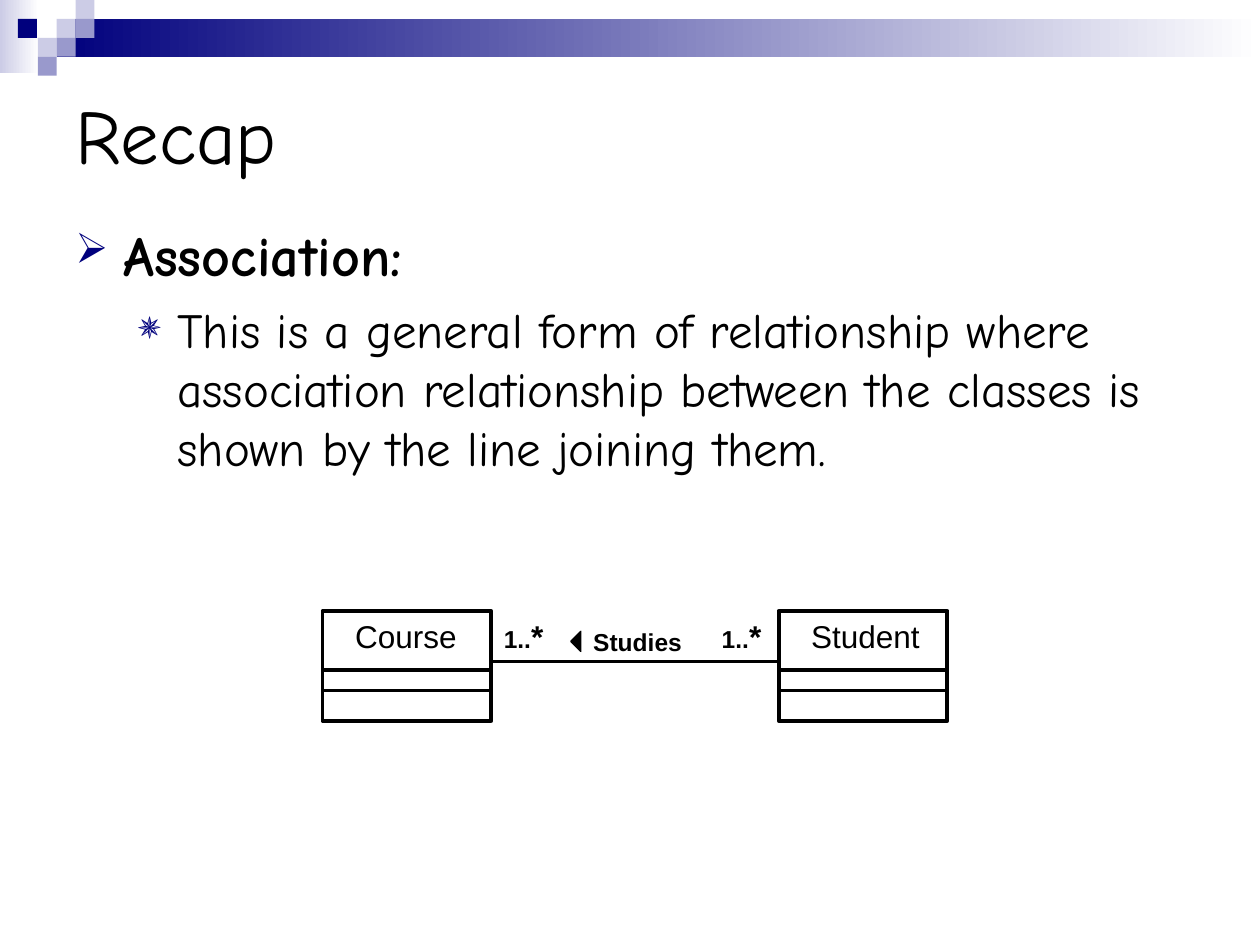
from dataclasses import dataclass

from lxml.etree import SubElement
from pptx import Presentation
from pptx.dml.color import RGBColor as Color
from pptx.enum.shapes import MSO_CONNECTOR as Connector, MSO_SHAPE as Shape
from pptx.enum.text import MSO_ANCHOR as Anchor, MSO_AUTO_SIZE as AutoSize, PP_ALIGN as Align
from pptx.oxml.ns import qn
from pptx.util import Inches, Pt

TITLE_ONLY = 5


@dataclass(frozen=True)
class Theme:
    ink: str = "000000"
    paper: str = "FFFFFF"
    navy: str = "00007D"
    lilac: str = "CCCCE6"
    violet: str = "9999CC"
    heading_font: str = "Comic Neue"
    diagram_font: str = "Arial"
    title: int = 44
    topic: int = 32
    detail: int = 28
    label: int = 18
    note: int = 14
    stroke: float = 2.25


class SlideBuilder:
    def __init__(self, deck, theme):
        self.theme = theme
        self.cell = deck.slide_width / 100
        self.page = deck.slides.add_slide(deck.slide_layouts[TITLE_ONLY])

    def grid(self, *cells):
        return [round(cell * self.cell) for cell in cells]

    def style(self, span, size, font, bold=False):
        span.font.size = Pt(size)
        span.font.name = font
        span.font.bold = bold
        span.font.color.rgb = Color.from_string(self.theme.ink)

    def title(self, text, area):
        box = self.page.shapes.title
        box.left, box.top, box.width, box.height = self.grid(*area)
        frame = box.text_frame
        frame.text = text
        frame.auto_size = AutoSize.NONE
        frame.vertical_anchor = Anchor.MIDDLE
        para = frame.paragraphs[0]
        para.alignment = Align.LEFT
        self.style(para.runs[0], self.theme.title, self.theme.heading_font)

    def frame(self, area):
        frame = self.page.shapes.add_textbox(*self.grid(*area)).text_frame
        frame.word_wrap = True
        return frame

    def bullet(self, para, mark, percent, margin, hanging):
        properties = para._p.get_or_add_pPr()
        properties.set("marL", str(Inches(margin)))
        properties.set("indent", str(-Inches(hanging)))
        colour = SubElement(properties, qn("a:buClr"))
        SubElement(colour, qn("a:srgbClr"), val=self.theme.navy)
        SubElement(properties, qn("a:buSzPct"), val=str(percent * 1000))
        SubElement(properties, qn("a:buChar"), char=mark)

    def outline(self, area, items):
        frame = self.frame(area)
        frame.text = "\n".join(item["text"] for item in items)
        for para, item in zip(frame.paragraphs, items):
            para.level = item["level"]
            para.space_before = Pt(item["size"] / 4)
            self.bullet(para, *item["bullet"])
            self.style(para.runs[0], item["size"], self.theme.heading_font, item["bold"])

    def label(self, area, *spans, bold=False):
        para = self.frame(area).paragraphs[0]
        for text, size in spans:
            span = para.add_run()
            span.text = text
            self.style(span, size, self.theme.diagram_font, bold)

    def shape(self, kind, area, fill=None, fade=False, stroke=None):
        shape = self.page.shapes.add_shape(kind, *self.grid(*area))
        shape.shadow.inherit = False
        if fade:
            shape.fill.gradient()
            shape.fill.gradient_angle = 0
            for stop, colour in zip(shape.fill.gradient_stops, (fill, self.theme.paper)):
                stop.color.rgb = Color.from_string(colour)
        elif fill:
            shape.fill.solid()
            shape.fill.fore_color.rgb = Color.from_string(fill)
        else:
            shape.fill.background()
        if stroke:
            shape.line.width = Pt(stroke)
            shape.line.color.rgb = Color.from_string(self.theme.ink)
        else:
            shape.line.fill.background()
        return shape

    def line(self, left, right, row):
        line = self.page.shapes.add_connector(
            Connector.STRAIGHT, *self.grid(left, row, right, row))
        line.line.width = Pt(self.theme.stroke)
        line.line.color.rgb = Color.from_string(self.theme.ink)
        SubElement(line._element.spPr, qn("a:effectLst"))

    def banner(self):
        theme = self.theme
        self.shape(Shape.RECTANGLE, (0, 0, 3.1, 5.8), theme.lilac, fade=True)
        self.shape(Shape.RECTANGLE, (4.5, 1.5, 95.5, 3), theme.navy, fade=True)
        side = 1.5
        tiles = [
            (3, 1, theme.lilac), (4, 0, theme.lilac), (4, 1, theme.violet),
            (2, 2, theme.lilac), (0.95, 1, theme.navy),
            (3, 2, theme.violet), (2, 3, theme.violet),
        ]
        for column, row, colour in tiles:
            self.shape(Shape.RECTANGLE, (column * side, row * side, side, side), colour)

    def class_box(self, name, left, top, width, height):
        self.label((left + 1.6, top, 12.6, 4), (name, self.theme.label))
        self.shape(Shape.RECTANGLE, (left, top, width, height), stroke=self.theme.stroke)
        for offset in (4.7, 6.3):
            self.line(left, left + width, top + offset)

    def direction_mark(self, area):
        mark = self.shape(Shape.ISOSCELES_TRIANGLE, area, self.theme.ink, stroke=0.75)
        mark.rotation = 270


def main():
    deck = Presentation()
    deck.slide_width, deck.slide_height = Inches(10), Inches(7.5)
    theme = Theme()
    slide = SlideBuilder(deck, theme)

    slide.banner()
    slide.title("Recap", (5, 5, 90, 11.2))
    slide.outline((5, 17, 90, 23.6), [
        {"text": "Association:", "level": 0, "size": theme.topic, "bold": True,
         "bullet": ("➢", 75, 0.38, 0.38)},
        {"text": "This is a general form of relationship where association "
                 "relationship between the classes is shown by the line joining them.",
         "level": 1, "size": theme.detail, "bold": False,
         "bullet": ("✵", 80, 0.81, 0.31)},
    ])

    top, width, height = 48.5, 13.4, 8.7
    course, student = 25.6, 61.8
    for name, left in (("Course", course), ("Student", student)):
        slide.class_box(name, left, top, width, height)
    slide.line(course + width, student, top + 4)
    for left, span in ((course + width, 5.5), (56.3, 6.3)):
        slide.label((left, top, span, 4), ("1..", theme.note), ("*", theme.label), bold=True)
    slide.label((46.1, 49.3, 10.2, 3.4), ("Studies", theme.note), bold=True)
    slide.direction_mark((44.9, 50.5, 1.6, 0.8))

    deck.save("out.pptx")


if __name__ == "__main__":
    main()
